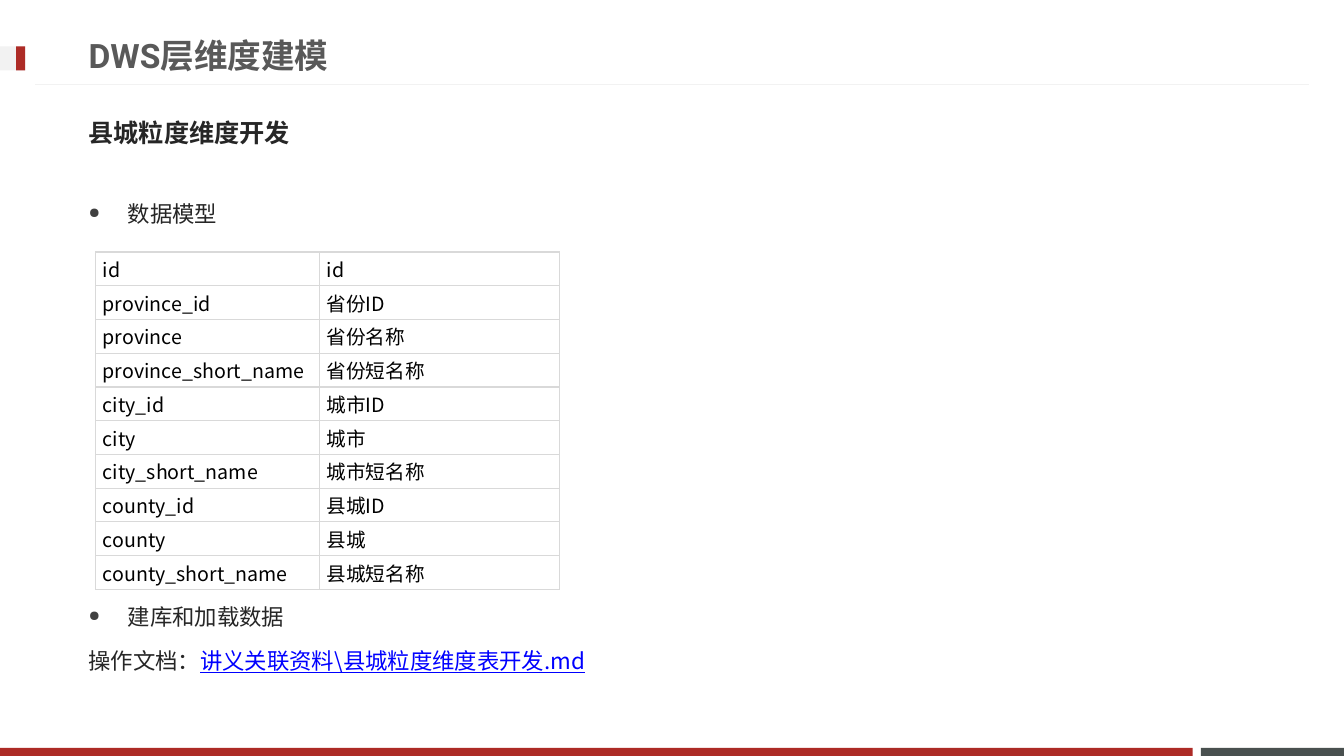
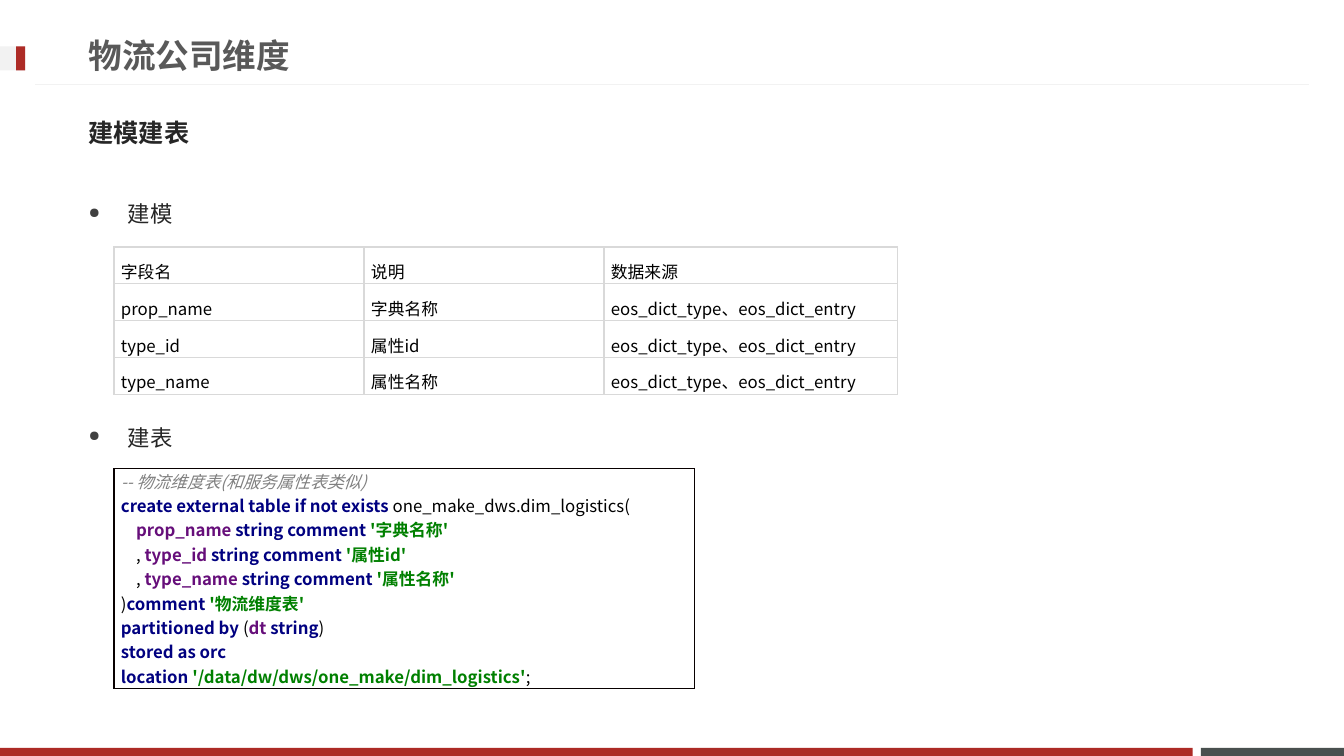
from lxml import etree
from pptx import Presentation
from pptx.dml.color import RGBColor
from pptx.enum.shapes import MSO_CONNECTOR as Connector, MSO_SHAPE as Shape
from pptx.enum.text import MSO_ANCHOR as Anchor
from pptx.oxml.ns import qn
from pptx.util import Inches, Pt

# Content
DIMENSION_SLIDE = {
    "title": "DWS层维度建模",
    "subtitle": "县城粒度维度开发",
    "bullets": [("数据模型", 2.12), ("建库和加载数据", 6.12)],
}
COUNTY_FIELDS = [
    ("id", "id"),
    ("province_id", "省份ID"),
    ("province", "省份名称"),
    ("province_short_name", "省份短名称"),
    ("city_id", "城市ID"),
    ("city", "城市"),
    ("city_short_name", "城市短名称"),
    ("county_id", "县城ID"),
    ("county", "县城"),
    ("county_short_name", "县城短名称"),
]
DOCUMENT_LINE = [("操作文档：", "body"), ("讲义关联资料\\县城粒度维度表开发.md", "link")]

LOGISTICS_SLIDE = {
    "title": "物流公司维度",
    "subtitle": "建模建表",
    "bullets": [("建模", 2.12), ("建表", 4.34)],
}
SOURCE_TABLES = "eos_dict_type、eos_dict_entry"
LOGISTICS_FIELDS = [
    ("字段名", "说明", "数据来源"),
    ("prop_name", "字典名称", SOURCE_TABLES),
    ("type_id", "属性id", SOURCE_TABLES),
    ("type_name", "属性名称", SOURCE_TABLES),
]
# Each line of code: indent in inches, then (text, style) pairs
CODE = [
    (0, [("-- 物流维度表(和服务属性表类似)", "note")]),
    (0, [("create external table if not exists ", "keyword"),
         ("one_make_dws.dim_logistics(", "plain")]),
    (0.15, [("prop_name ", "name"), ("string comment ", "keyword"), ("'字典名称'", "string")]),
    (0.15, [(", ", "plain"), ("type_id ", "name"),
            ("string comment ", "keyword"), ("'属性id'", "string")]),
    (0.15, [(", ", "plain"), ("type_name ", "name"),
            ("string comment ", "keyword"), ("'属性名称'", "string")]),
    (0, [(")", "plain"), ("comment ", "keyword"), ("'物流维度表'", "string")]),
    (0, [("partitioned by ", "keyword"), ("(", "plain"), ("dt ", "name"),
         ("string", "keyword"), (")", "plain")]),
    (0, [("stored as orc", "keyword")]),
    (0, [("location ", "keyword"),
         ("'/data/dw/dws/one_make/dim_logistics'", "string"), (";", "plain")]),
]

# Shared look
WIDTH, HEIGHT = 13.33, 7.5
LEFT, CONTENT_WIDTH, LINE_HEIGHT = 0.78, 11.76, 0.57
RED, SLATE, PALE, GRID = "AD2B26", "49504F", "F2F2F2", "D9D9D9"
SANS, SANS_JP, LATIN = "Noto Sans CJK SC", "Noto Sans CJK JP", "Roboto"
# style: size, font, colour, bold, italic, underline
STYLES = {
    "title": (24, LATIN, "595959", True, False, False),
    "subtitle": (18, SANS_JP, "262626", True, False, False),
    "bullet": (16, LATIN, "262626", False, False, False),
    "body": (16, SANS_JP, "262626", False, False, False),
    "link": (16, SANS_JP, "0000FF", False, False, True),
    "cell": (14, SANS, "000000", False, False, False),
    "plain": (12, SANS, "000000", False, False, False),
    "note": (12, SANS, "808080", False, True, False),
    "keyword": (12, SANS, "000080", True, False, False),
    "name": (12, SANS, "660E7A", True, False, False),
    "string": (12, SANS, "008000", True, False, False),
}
BANDS = [
    (11.91, 7.42, 1.42, 0.08, SLATE),
    (0, 7.42, 11.83, 0.08, RED),
    (0, 0.46, 0.25, 0.24, PALE),
    (0.16, 0.46, 0.09, 0.24, RED),
]


def color(value):
    return RGBColor.from_string(value)


def add_runs(paragraph, runs):
    for text, style in runs:
        size, name, ink, bold, italic, underline = STYLES[style]
        run = paragraph.add_run()
        run.text = text
        font = run.font
        font.size, font.name = Pt(size), name
        font.bold, font.italic, font.underline = bold, italic, underline
        font.color.rgb = color(ink)
        east_asian = SANS if name == LATIN else name
        etree.SubElement(run._r.get_or_add_rPr(), qn("a:ea"), typeface=east_asian)


def add_line(slide, runs, center, bullet=False):
    """One line of text, centred vertically on the given height."""
    box = slide.shapes.add_textbox(
        Inches(LEFT), Inches(center - LINE_HEIGHT / 2), Inches(CONTENT_WIDTH), Inches(LINE_HEIGHT))
    frame = box.text_frame
    frame.word_wrap = True
    frame.vertical_anchor = Anchor.MIDDLE
    paragraph = frame.paragraphs[0]
    add_runs(paragraph, runs)
    if bullet:
        properties = paragraph._p.get_or_add_pPr()
        properties.set("marL", str(Inches(0.39)))
        properties.set("indent", str(-Inches(0.39)))
        ink = etree.SubElement(properties, qn("a:buClr"))
        etree.SubElement(ink, qn("a:srgbClr"), val="404040")
        etree.SubElement(properties, qn("a:buSzPct"), val="65000")
        etree.SubElement(properties, qn("a:buChar"), char="●")


def set_borders(cell, ink):
    properties = cell._tc.get_or_add_tcPr()
    for index, side in enumerate(("lnL", "lnR", "lnT", "lnB")):
        line = etree.Element(qn(f"a:{side}"), w=str(Pt(1)))
        fill = etree.SubElement(line, qn("a:solidFill"))
        etree.SubElement(fill, qn("a:srgbClr"), val=ink)
        properties.insert(index, line)


def add_grid(slide, rows, left, top, widths, height, border, anchor, spacing=None):
    """A table of equal rows whose cells are lists of (indent, runs) lines."""
    table = slide.shapes.add_table(
        len(rows), len(widths), Inches(left), Inches(top),
        Inches(sum(widths)), Inches(height)).table
    table.first_row = table.horz_banding = False
    for column, width in zip(table.columns, widths):
        column.width = Inches(width)
    for row_index, row in enumerate(rows):
        for column_index, lines in enumerate(row):
            cell = table.cell(row_index, column_index)
            cell.margin_left = cell.margin_right = Inches(0.07)
            cell.margin_top = cell.margin_bottom = 0
            cell.vertical_anchor = anchor
            cell.fill.background()
            set_borders(cell, border)
            frame = cell.text_frame
            for index, (indent, runs) in enumerate(lines):
                paragraph = frame.add_paragraph() if index else frame.paragraphs[0]
                paragraph.line_spacing = spacing
                if indent:
                    paragraph._p.get_or_add_pPr().set("marL", str(Inches(indent)))
                add_runs(paragraph, runs)


def text_rows(rows, style):
    return [[[(0, [(text, style)])] for text in row] for row in rows]


def add_page(presentation, content):
    slide = presentation.slides.add_slide(presentation.slide_layouts[6])
    # Bands, marker and title rule
    for left, top, width, height, ink in BANDS:
        band = slide.shapes.add_shape(
            Shape.RECTANGLE, Inches(left), Inches(top), Inches(width), Inches(height))
        band.shadow.inherit = False
        band.fill.solid()
        band.fill.fore_color.rgb = color(ink)
        band.line.fill.background()
    rule = slide.shapes.add_connector(
        Connector.STRAIGHT, Inches(0.35), Inches(0.84), Inches(WIDTH - 0.35), Inches(0.84))
    rule.line.color.rgb = color(PALE)
    rule.line.width = Pt(0.75)
    etree.SubElement(rule._element.spPr, qn("a:effectLst"))
    # Headings and bullets
    add_line(slide, [(content["title"], "title")], 0.55)
    add_line(slide, [(content["subtitle"], "subtitle")], 1.31)
    for text, center in content["bullets"]:
        add_line(slide, [(text, "bullet")], center, bullet=True)
    return slide


def main():
    presentation = Presentation()
    presentation.slide_width, presentation.slide_height = Inches(WIDTH), Inches(HEIGHT)

    # County dimension
    slide = add_page(presentation, DIMENSION_SLIDE)
    add_grid(slide, text_rows(COUNTY_FIELDS, "cell"), 0.95, 2.5, (2.22, 2.38), 3.35,
             GRID, Anchor.MIDDLE)
    add_line(slide, DOCUMENT_LINE, 6.55)

    # Logistics dimension
    slide = add_page(presentation, LOGISTICS_SLIDE)
    add_grid(slide, [[CODE]], 1.13, 4.65, (5.76,), 2.18, "080000", Anchor.TOP)
    add_grid(slide, text_rows(LOGISTICS_FIELDS, "plain"), 1.13, 2.45, (2.48, 2.38, 2.91), 1.46,
             GRID, Anchor.TOP, spacing=1.5)

    presentation.save("out.pptx")


if __name__ == "__main__":
    main()
